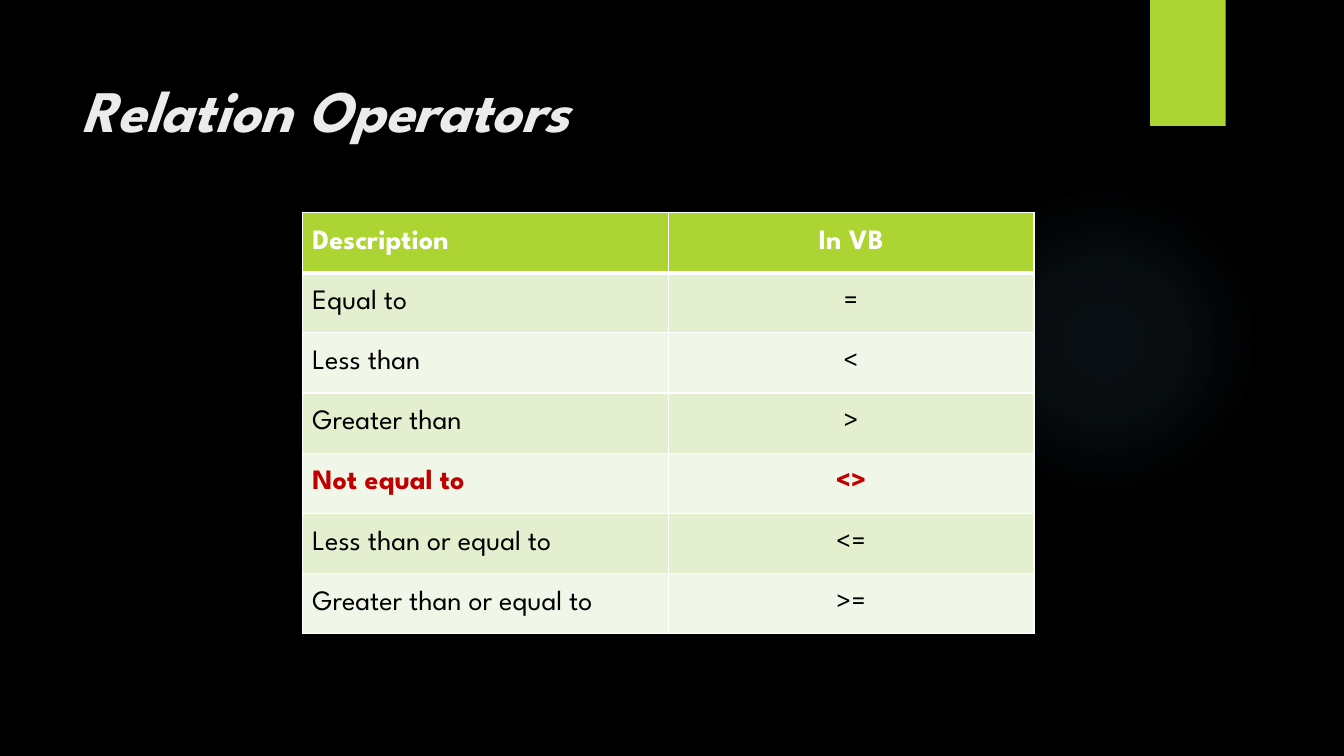
"""Build the slide on relation operators: a title, two accents and a table."""
from pptx import Presentation
from pptx.dml.color import RGBColor
from pptx.enum.shapes import MSO_SHAPE
from pptx.enum.text import MSO_ANCHOR, PP_ALIGN
from pptx.oxml import parse_xml
from pptx.oxml.ns import nsdecls
from pptx.util import Pt

LIME, WHITE, BLACK, RED = "ACD433", "FFFFFF", "000000", "C00000"
BANDS = ["F1F7E8", "E3EFCE"]
ROWS = [
    ("Description", "In VB"),
    ("Equal to", "="),
    ("Less than", "<"),
    ("Greater than", ">"),
    ("Not equal to", "<>"),
    ("Less than or equal to", "<="),
    ("Greater than or equal to", ">="),
]


def paint(fill, color):
    fill.solid()
    fill.fore_color.rgb = RGBColor.from_string(color)


def style(para, size, color, bold, italic=False):
    font = para.font
    font.name, font.size = "League Spartan", Pt(size)
    font.bold, font.italic = bold, italic
    font.color.rgb = RGBColor.from_string(color)


deck = Presentation()
deck.slide_width, deck.slide_height = Pt(960), Pt(540)
slide = deck.slides.add_slide(deck.slide_layouts[6])
paint(slide.background.fill, BLACK)
shapes = slide.shapes

glow = shapes.add_shape(MSO_SHAPE.OVAL, Pt(677.5), Pt(131.8), Pt(221.8), Pt(221.8))
glow.shadow.inherit = False
glow.line.fill.background()
stops = "".join(
    f'<a:gs pos="{pos}000"><a:srgbClr val="7AC4F0"><a:alpha val="{alpha}000"/></a:srgbClr></a:gs>'
    for pos, alpha in [(0, 7), (36, 6), (69, 0)]
)
glow._element.spPr.insert(2, parse_xml(
    f'<a:gradFill {nsdecls("a")}><a:gsLst>{stops}</a:gsLst><a:path path="circle">'
    '<a:fillToRect l="50000" t="50000" r="50000" b="50000"/></a:path></a:gradFill>'
))

tab = shapes.add_shape(MSO_SHAPE.RECTANGLE, Pt(821.5), Pt(0), Pt(54), Pt(90))
tab.shadow.inherit = False
tab.line.fill.background()
paint(tab.fill, LIME)

title = shapes.add_textbox(Pt(51), Pt(36), Pt(741), Pt(110)).text_frame
title.word_wrap = True
title.margin_top = Pt(16.5)
title.text = "Relation Operators"
style(title.paragraphs[0], 42, "EBEBEB", True, True)

table = shapes.add_table(len(ROWS), 2, Pt(216), Pt(151.8), Pt(522.6), Pt(301)).table
for col in table.columns:
    col.width = Pt(261.3)
for r, texts in enumerate(ROWS):
    table.rows[r].height = Pt(43)
    head, key = r == 0, texts[1] == "<>"
    color = WHITE if head else RED if key else BLACK
    for c, text in enumerate(texts):
        cell = table.cell(r, c)
        cell.text = text
        cell.vertical_anchor = MSO_ANCHOR.MIDDLE
        para = cell.text_frame.paragraphs[0]
        para.alignment = PP_ALIGN.CENTER if c else PP_ALIGN.LEFT
        style(para, 20, color, head or key)
        paint(cell.fill, LIME if head else BANDS[r % 2])
        widths = {"L": 1, "R": 1, "T": 3 if r == 1 else 1, "B": 3 if head else 1}
        for i, (side, width) in enumerate(widths.items()):
            cell._tc.tcPr.insert(i, parse_xml(
                f'<a:ln{side} {nsdecls("a")} w="{Pt(width)}"><a:solidFill>'
                f'<a:srgbClr val="{WHITE}"/></a:solidFill></a:ln{side}>'
            ))

deck.save("out.pptx")
